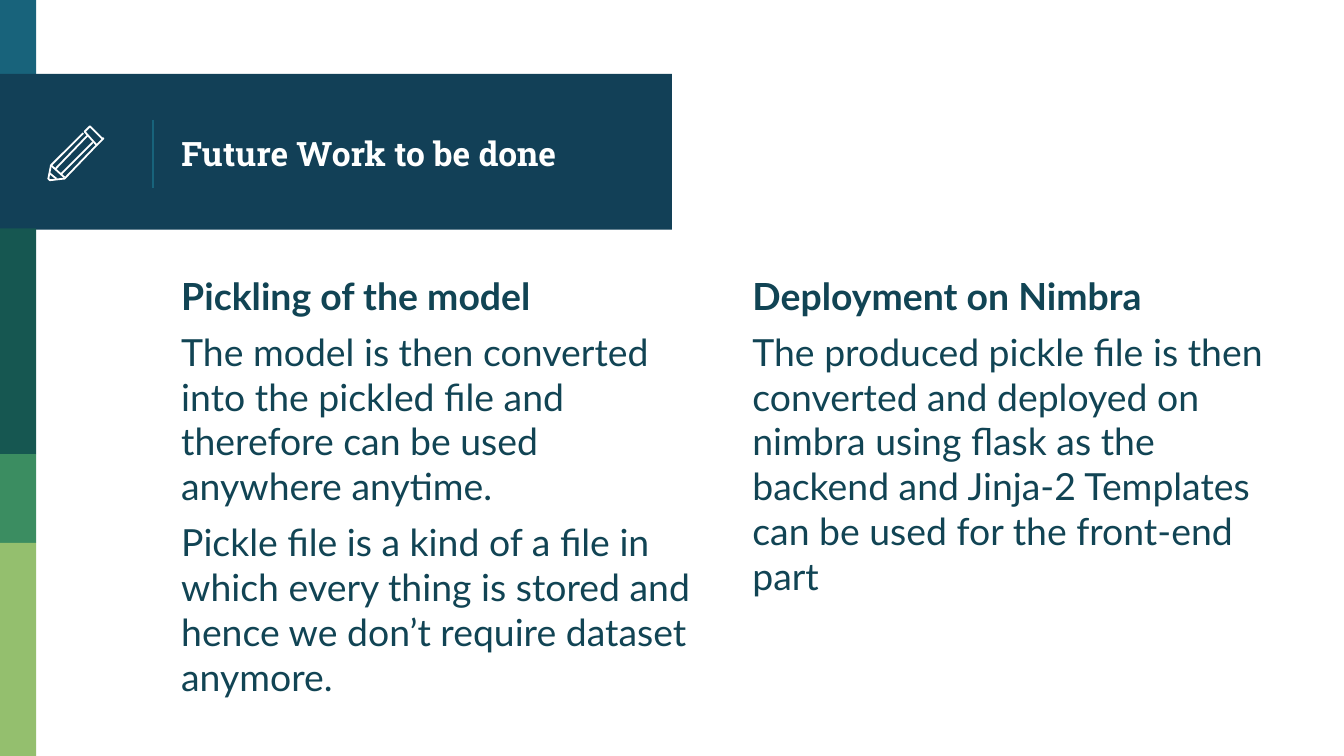
from pptx import Presentation
from pptx.dml.color import RGBColor
from pptx.enum.shapes import MSO_CONNECTOR, MSO_SHAPE
from pptx.enum.text import MSO_ANCHOR, MSO_AUTO_SIZE, PP_ALIGN
from pptx.oxml.ns import qn
from pptx.util import Inches, Pt
from lxml import etree

WHITE = RGBColor(0xFF, 0xFF, 0xFF)
TEAL = RGBColor(0x18, 0x63, 0x7B)
NAVY = RGBColor(0x12, 0x40, 0x57)
PINE = RGBColor(0x16, 0x57, 0x51)
GREEN = RGBColor(0x3B, 0x8D, 0x61)
LIME = RGBColor(0x94, 0xBF, 0x6E)
INK = RGBColor(0x11, 0x44, 0x54)

deck = Presentation()
deck.slide_width = Inches(10)
deck.slide_height = deck.slide_width * 9 // 16
slide = deck.slides.add_slide(deck.slide_layouts[5])
shapes = slide.shapes


def set_frame(frame):
    frame.word_wrap = True
    frame.auto_size = MSO_AUTO_SIZE.NONE
    frame.margin_left = frame.margin_right = Inches(0.1)
    frame.margin_top = frame.margin_bottom = Inches(0.1)


def set_font(para, name, size, color, bold):
    para.alignment = PP_ALIGN.LEFT
    para.font.name = name
    para.font.size = Pt(size)
    para.font.color.rgb = color
    para.font.bold = bold


bands = [
    (0, 0.27, 0.58, TEAL),
    (0.55, 5, 1.16, NAVY),
    (1.7, 0.27, 1.68, PINE),
    (3.38, 0.27, 0.66, GREEN),
    (4.04, 0.27, 1.59, LIME),
]
for top, width, height, color in bands:
    room = deck.slide_height - Inches(top)
    band = shapes.add_shape(
        MSO_SHAPE.RECTANGLE, 0, Inches(top), Inches(width), min(Inches(height), room))
    band.shadow.inherit = False
    band.fill.solid()
    band.fill.fore_color.rgb = color
    band.line.fill.background()

rule = shapes.add_connector(
    MSO_CONNECTOR.STRAIGHT, Inches(1.14), Inches(0.89), Inches(1.14), Inches(1.4))
rule.line.color.rgb = TEAL
rule.line.width = Pt(0.75)
etree.SubElement(rule._element.spPr, qn("a:effectLst"))

title = shapes.title
title.left, title.top = Inches(1.25), Inches(0.58)
title.width, title.height = Inches(3.51), Inches(1.12)
title.text = "Future Work to be done"
set_frame(title.text_frame)
title.text_frame.vertical_anchor = MSO_ANCHOR.MIDDLE
set_font(title.text_frame.paragraphs[0], "Roboto Slab", 18, WHITE, True)
shapes._spTree.append(title._element)

columns = [
    (1.25, [
        "Pickling of the model",
        "The model is then converted into the pickled file and therefore can be used anywhere anytime.",
        "Pickle file is a kind of a file in which every thing is stored and hence we don’t require dataset anymore.",
    ]),
    (5.5, [
        "Deployment on Nimbra",
        "The produced pickle file is then converted and deployed on nimbra using flask as the backend "
        "and Jinja-2 Templates can be used for the front-end part",
    ]),
]
for left, texts in columns:
    box = shapes.add_textbox(Inches(left), Inches(1.93), Inches(4), Inches(3.45))
    frame = box.text_frame
    set_frame(frame)
    for i, text in enumerate(texts):
        para = frame.add_paragraph() if i else frame.paragraphs[0]
        para.text = text
        para.space_before = Pt(6 if i else 0)
        set_font(para, "Lato", 20, INK, i == 0)

pencil = [
    ([(76, 103), (68, 95), (67, 94), (66, 95), (63, 98),
      (72, 108), (76, 104), (77, 103)], True),
    ([(69, 106), (45, 130)], False),
    ([(62, 99), (38, 123), (36, 133), (37, 134), (38, 134),
      (47, 133), (48, 133), (72, 108)], False),
    ([(41, 126), (65, 101)], False),
    ([(42, 133), (37, 129)], False),
    ([(38, 123), (48, 132)], False),
]
icon = shapes.add_group_shape()
for points, closed in pencil:
    pen = icon.shapes.build_freeform(*points[0], scale=Inches(0.01))
    pen.add_line_segments(points[1:], close=closed)
    stroke = pen.convert_to_shape()
    stroke.shadow.inherit = False
    stroke.fill.background()
    stroke.line.color.rgb = WHITE
    stroke.line.width = Pt(0.96)

deck.save("out.pptx")
